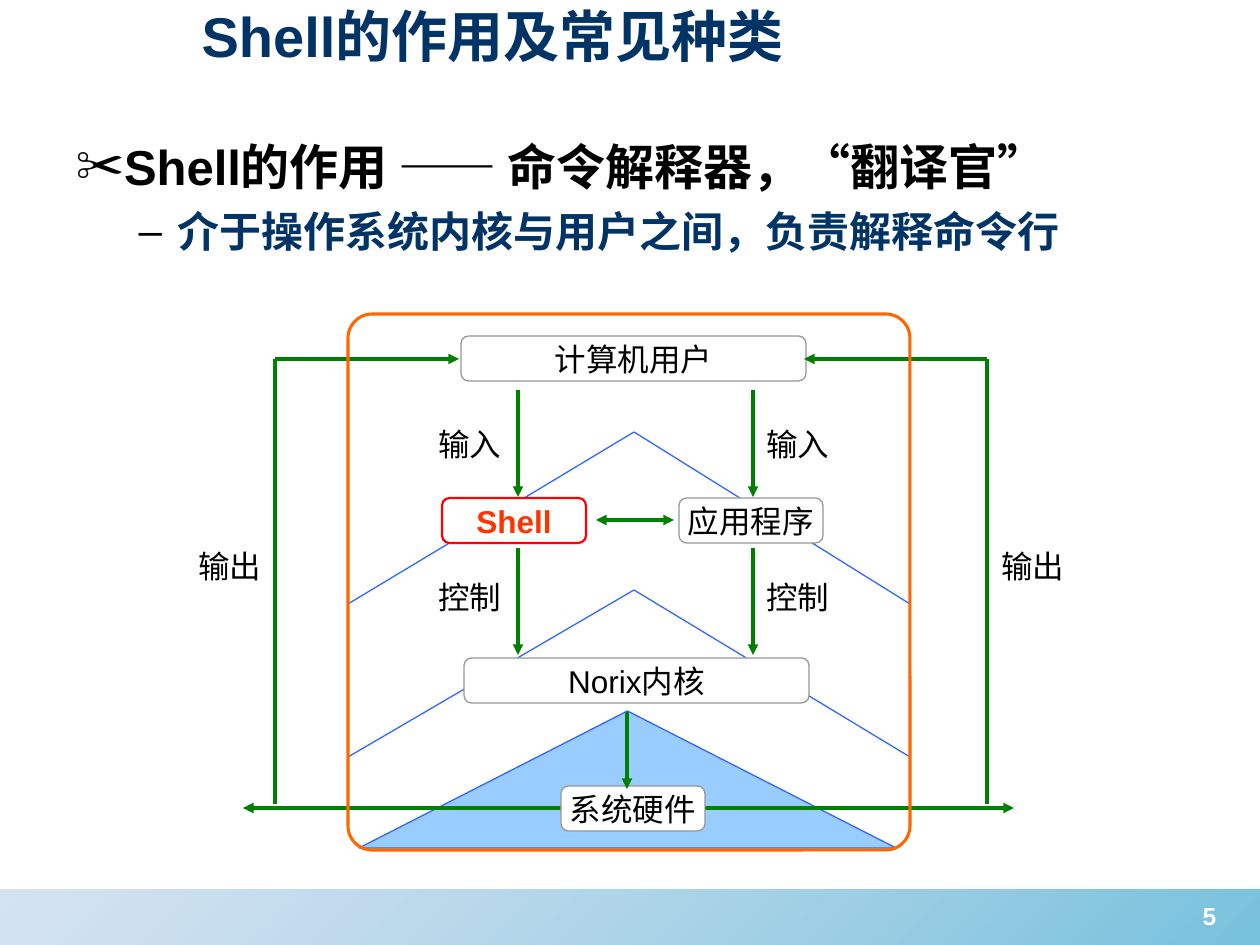
from lxml import etree
from pptx import Presentation
from pptx.dml.color import RGBColor
from pptx.enum.shapes import MSO_CONNECTOR, MSO_SHAPE
from pptx.enum.text import MSO_ANCHOR, MSO_AUTO_SIZE, PP_ALIGN
from pptx.oxml.ns import qn
from pptx.util import Emu, Pt

STRAIGHT = MSO_CONNECTOR.STRAIGHT
RECTANGLE = MSO_SHAPE.RECTANGLE
TRIANGLE = MSO_SHAPE.ISOSCELES_TRIANGLE
ROUNDED = MSO_SHAPE.ROUNDED_RECTANGLE
NODE = MSO_SHAPE.FLOWCHART_ALTERNATE_PROCESS
CENTER, LEFT = PP_ALIGN.CENTER, PP_ALIGN.LEFT
MIDDLE = MSO_ANCHOR.MIDDLE
NO_AUTOFIT = MSO_AUTO_SIZE.NONE

EMU_PER_PX = 914400 / 126
FONT = "Arial"
COLORS = {
    "white": "FFFFFF", "black": "000000", "navy": "003366",
    "band_start": "88B0D8", "band_end": "1C99C6",
    "sky": "99CCFF", "blue": "3366FF", "green": "008000",
    "grey": "969696", "red": "FF0000", "shell": "FF3300",
    "orange": "FF6600", "shadow": "C0C0C0",
}


def px(length):
    return Emu(round(length * EMU_PER_PX))


def rgb(name):
    return RGBColor.from_string(COLORS[name])


def style_font(paragraph, size, color, bold=False):
    font = paragraph.font
    font.name, font.size, font.bold = FONT, Pt(size), bold
    font.color.rgb = rgb(color)


def place(element, left, top, width, height):
    element.left, element.top = px(left), px(top)
    element.width, element.height = px(width), px(height)


def add_panel(slide, preset, box, fill=None, outline=None, weight=0.75):
    panel = slide.shapes.add_shape(preset, *map(px, box))
    panel.shadow.inherit = False
    if fill:
        panel.fill.solid()
        panel.fill.fore_color.rgb = rgb(fill)
    else:
        panel.fill.background()
    if outline:
        panel.line.color.rgb = rgb(outline)
        panel.line.width = Pt(weight)
    else:
        panel.line.fill.background()
    return panel


def write_centered(panel, wording, size, color, bold=False):
    frame = panel.text_frame
    frame.auto_size = NO_AUTOFIT
    frame.word_wrap = False
    frame.vertical_anchor = MIDDLE
    paragraph = frame.paragraphs[0]
    paragraph.text = wording
    paragraph.alignment = CENTER
    style_font(paragraph, size, color, bold)


def add_node(slide, wording, left, top, width=144, outline="grey", weight=0.75,
             color="black", bold=False):
    node = add_panel(slide, NODE, (left, top, width, 45), "white", outline, weight)
    write_centered(node, wording, 18, color, bold)


def add_label(slide, wording, left, top):
    label = add_panel(slide, NODE, (left, top, 66, 45))
    write_centered(label, wording, 18, "black")


def add_line(slide, start, end, color="green", weight=2, ends=()):
    line = slide.shapes.add_connector(STRAIGHT, *map(px, (*start, *end)))
    line.line.color.rgb = rgb(color)
    line.line.width = Pt(weight)
    outline = line.element.spPr.find(qn("a:ln"))
    for end_name in ends:
        etree.SubElement(outline, qn(f"a:{end_name}"), type="triangle")
    etree.SubElement(line.element.spPr, qn("a:effectLst"))


def add_footer(slide):
    band = add_panel(slide, RECTANGLE, (0, 890, 1260, 55))
    band.fill.gradient()
    band.fill.gradient_angle = 315
    for stop, color in zip(band.fill.gradient_stops, ("band_start", "band_end")):
        stop.color.rgb = rgb(color)
    for tint, opacity in zip(band.element.spPr.iter(qn("a:srgbClr")), (35, 60)):
        etree.SubElement(tint, qn("a:alpha"), val=str(opacity * 1000))
    number = slide.shapes.add_textbox(px(1164), px(893), px(91), px(45))
    write_centered(number, "5", 14, "white", True)


def write_title(slide, wording):
    title = slide.shapes.title
    place(title, 189, -4, 1017, 79)
    frame = title.text_frame
    frame.auto_size = NO_AUTOFIT
    frame.vertical_anchor = MIDDLE
    paragraph = frame.paragraphs[0]
    paragraph.text = wording
    paragraph.alignment = LEFT
    style_font(paragraph, 32, "navy", True)


def write_point(paragraph, wording, level, bullet, indent, hanging, before, size, color):
    paragraph.text = wording
    paragraph.level = level
    paragraph.space_before = Pt(before)
    properties = paragraph._p.get_or_add_pPr()
    properties.set("marL", str(px(indent)))
    properties.set("indent", str(-px(hanging)))
    bullet_color = etree.SubElement(properties, qn("a:buClr"))
    etree.SubElement(bullet_color, qn("a:srgbClr"), val=COLORS["black"])
    etree.SubElement(properties, qn("a:buChar"), char=bullet)
    style_font(paragraph, size, color, True)
    effects = etree.SubElement(paragraph.runs[0]._r.get_or_add_rPr(), qn("a:effectLst"))
    shadow = etree.SubElement(effects, qn("a:outerShdw"), dist="25400", dir="2700000")
    etree.SubElement(shadow, qn("a:srgbClr"), val=COLORS["shadow"])


def write_body(slide):
    body = slide.placeholders[1]
    place(body, 63, 130, 1134, 699)
    frame = body.text_frame
    frame.auto_size = NO_AUTOFIT
    write_point(frame.paragraphs[0], "Shell的作用 —— 命令解释器，“翻译官”",
                0, "✂", 48, 48, 7, 28, "black")
    write_point(frame.add_paragraph(), "介于操作系统内核与用户之间，负责解释命令行",
                1, "–", 102, 39, 6, 24, "navy")


def add_layers(slide):
    add_panel(slide, TRIANGLE, (359, 711, 537, 137), "sky", "blue")
    for peak, base in ((590, 757), (432, 604)):
        for edge in (348, 910):
            add_line(slide, (634, peak), (edge, base), "blue", 0.75)


def add_diagram(slide):
    add_layers(slide)
    add_node(slide, "Shell", 442, 498, outline="red", weight=1.25, color="shell", bold=True)
    add_node(slide, "计算机用户", 461, 336, 345)
    add_node(slide, "应用程序", 679, 498)
    add_node(slide, "Norix内核", 464, 658, 345)
    for wording, top in (("输入", 421), ("控制", 574)):
        for left in (437, 765):
            add_label(slide, wording, left, top)
    for side, user_edge in ((987, 804), (275, 459)):
        add_line(slide, (side, 804), (side, 359))
        add_line(slide, (side, 359), (user_edge, 359), ends=("tailEnd",))
    add_line(slide, (243, 808), (1014, 808), ends=("headEnd", "tailEnd"))
    add_node(slide, "系统硬件", 561, 786)
    for left in (1000, 197):
        add_label(slide, "输出", left, 543)
    add_line(slide, (596, 520), (674, 520), ends=("headEnd", "tailEnd"))
    for top in (390, 548):
        for column in (518, 753):
            add_line(slide, (column, top), (column, top + 107), ends=("tailEnd",))
    add_line(slide, (627, 712), (627, 789), ends=("tailEnd",))
    border = add_panel(slide, ROUNDED, (348, 314, 562, 536), outline="orange", weight=1.75)
    border.adjustments[0] = 0.045


def main():
    presentation = Presentation()
    presentation.slide_width, presentation.slide_height = px(1260), px(945)
    slide = presentation.slides.add_slide(presentation.slide_layouts[1])
    add_footer(slide)
    write_title(slide, "Shell的作用及常见种类")
    write_body(slide)
    add_diagram(slide)
    presentation.save("out.pptx")


if __name__ == "__main__":
    main()
